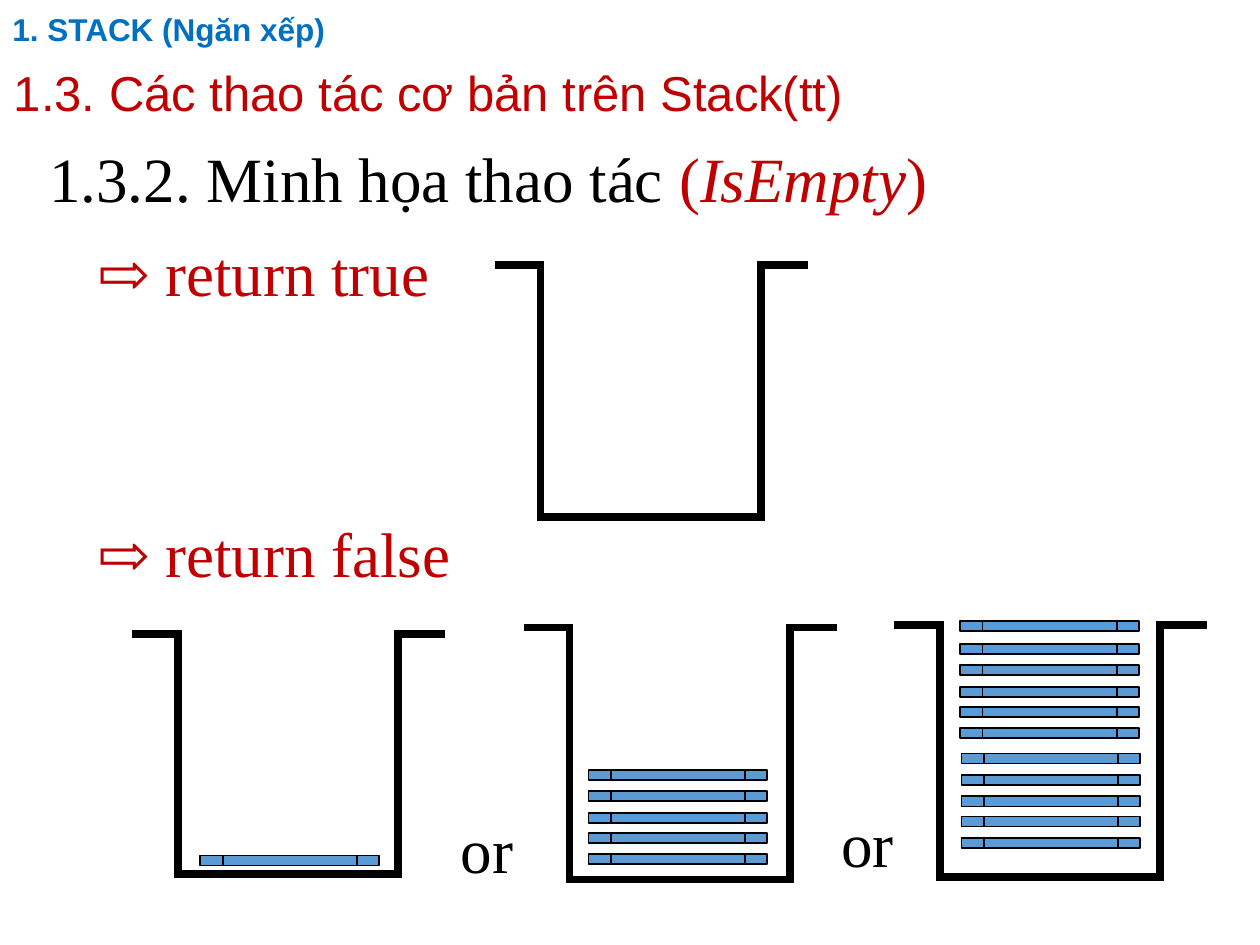
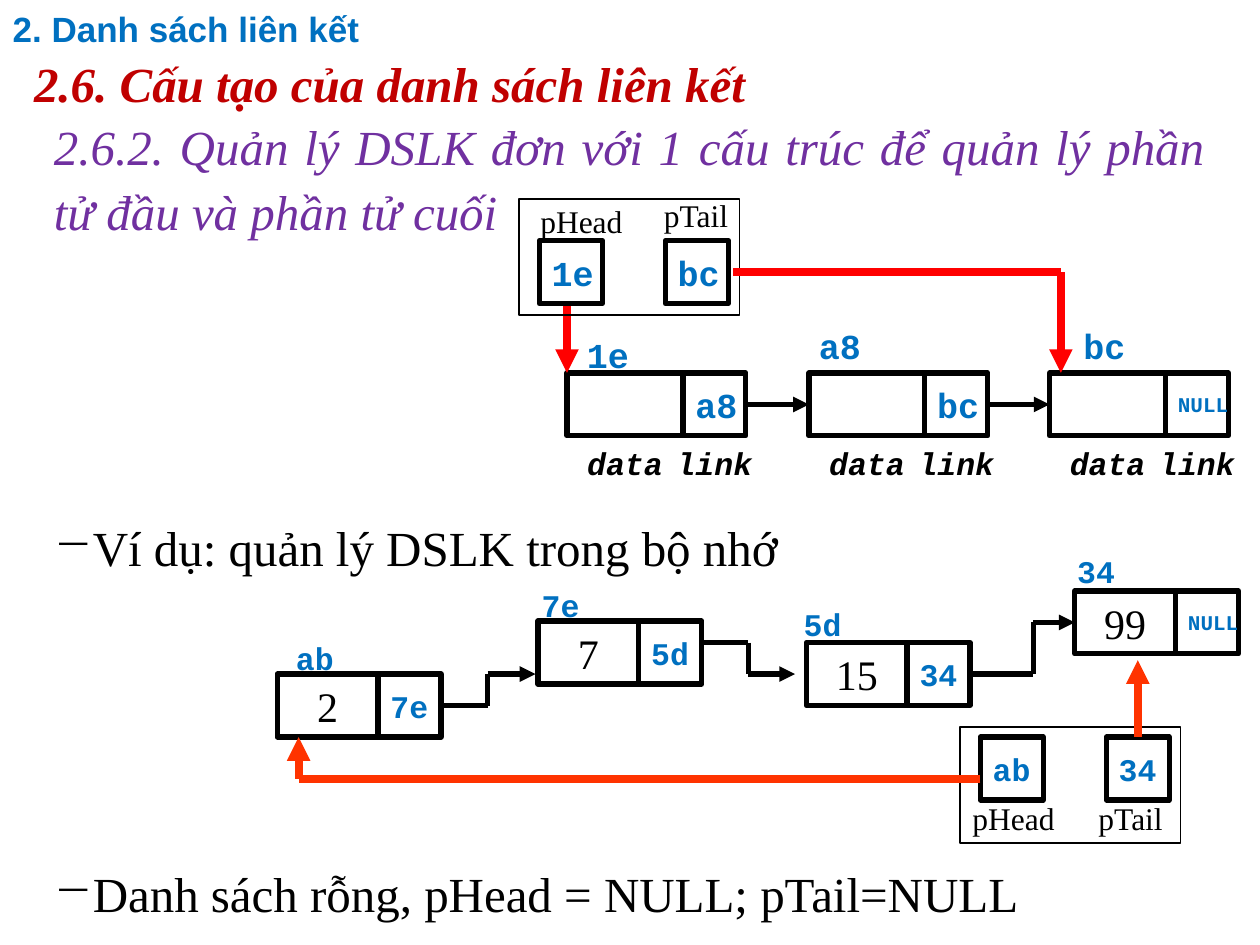
from itertools import pairwise

from pptx import Presentation
from pptx.dml.color import RGBColor
from pptx.enum.shapes import MSO_CONNECTOR, MSO_SHAPE
from pptx.enum.text import MSO_ANCHOR, MSO_AUTO_SIZE, PP_ALIGN
from pptx.oxml.ns import qn
from pptx.util import Emu, Pt
from lxml.etree import SubElement

EMU_PER_PX = 9144  # 100 px to the inch
BLACK, WHITE, BLUE, CRIMSON = "000000", "FFFFFF", "0070C0", "C00000"
PURPLE, RED, ORANGE, DISK_BLUE = "7030A0", "FF0000", "FF3300", "5B9BD5"
SANS, SERIF, MONO = "Arial", "Times New Roman", "Courier New"
HEADER_BOX = (0, 0, 862, 50)
CELL = 50  # height of every cell, width of a link cell
TOP, LEFT, RIGHT = 0, 1, 3  # connection sites of a rectangle


def px(value):
    return Emu(round(value * EMU_PER_PX))


def color(hex_string):
    return RGBColor.from_string(hex_string)


# ---- Text ----
def add_run(paragraph, text, font, size, ink=BLACK, bold=False, italic=False):
    run = paragraph.add_run()
    run.text = text
    run.font.name, run.font.size = font, Pt(size)
    run.font.bold, run.font.italic = bold, italic
    run.font.color.rgb = color(ink)


def format_paragraph(paragraph, align=PP_ALIGN.LEFT, spacing=1.0, before=0,
                     margin=0, indent=0, bullet=None):
    properties = paragraph._p.get_or_add_pPr()
    properties.set("marL", str(px(margin)))
    properties.set("indent", str(px(indent)))
    if bullet:
        SubElement(properties, qn("a:buChar")).set("char", bullet)
    else:
        SubElement(properties, qn("a:buNone"))
    paragraph.alignment = align
    paragraph.line_spacing = spacing
    paragraph.space_before = Pt(before)


def body_paragraph(paragraph, **layout):
    format_paragraph(paragraph, PP_ALIGN.JUSTIFY, 1.1, **layout)
    return paragraph


def set_frame(shape, anchor=MSO_ANCHOR.TOP, wrap=True):
    frame = shape.text_frame
    frame.word_wrap = wrap
    frame.auto_size = MSO_AUTO_SIZE.NONE
    frame.vertical_anchor = anchor
    return frame


def place(shape, box):
    shape.left, shape.top, shape.width, shape.height = map(px, box)
    return shape


def text_box(slide, box, anchor=MSO_ANCHOR.TOP, wrap=True):
    return set_frame(slide.shapes.add_textbox(*map(px, box)), anchor, wrap)


def label(slide, box, text, font, size, ink=BLACK, middle=False,
          align=PP_ALIGN.LEFT, spacing=1.0, **style):
    anchor = MSO_ANCHOR.MIDDLE if middle else MSO_ANCHOR.TOP
    paragraph = text_box(slide, box, anchor, not middle).paragraphs[0]
    format_paragraph(paragraph, align, spacing)
    add_run(paragraph, text, font, size, ink, **style)


def heading(shape, text, size, ink, bold):
    paragraph = set_frame(shape, MSO_ANCHOR.MIDDLE).paragraphs[0]
    format_paragraph(paragraph, spacing=0.9)
    add_run(paragraph, text, SANS, size, ink, bold)


# ---- Shapes and lines ----
def preset(slide, kind, box, fill=None, weight=3):
    shape = slide.shapes.add_shape(kind, *map(px, box))
    shape.shadow.inherit = False
    if fill:
        shape.fill.solid()
        shape.fill.fore_color.rgb = color(fill)
    else:
        shape.fill.background()
    shape.line.color.rgb = color(BLACK)
    shape.line.width = Pt(weight)
    return shape


def route(slide, points, ink=BLACK, weight=3, arrow=True, square=False,
          start=None, end=None):
    """Draw straight lines through points; start and end are (shape, site)."""
    lines = []
    for (x1, y1), (x2, y2) in pairwise(points):
        line = slide.shapes.add_connector(
            MSO_CONNECTOR.STRAIGHT, px(x1), px(y1), px(x2), px(y2))
        line.line.color.rgb = color(ink)
        line.line.width = Pt(weight)
        if square:
            line.line._get_or_add_ln().set("cap", "sq")
        SubElement(line._element.spPr, qn("a:effectLst"))
        lines.append(line)
    if arrow:
        SubElement(lines[-1].line._get_or_add_ln(), qn("a:tailEnd")).set(
            "type", "triangle")
    if start:
        lines[0].begin_connect(*start)
    if end:
        lines[-1].end_connect(*end)


def cell(slide, box, text="", font=MONO, size=18, ink=BLUE, bold=True,
         align=PP_ALIGN.LEFT, fill=None):
    shape = preset(slide, MSO_SHAPE.RECTANGLE, box, fill)
    if text:
        paragraph = set_frame(shape, MSO_ANCHOR.MIDDLE, False).paragraphs[0]
        format_paragraph(paragraph, align)
        add_run(paragraph, text, font, size, ink, bold)
    return shape


# ---- Slide 1: stacks ----
def stack_frame(slide, left, top, height=200):
    inner, outer, end = left + 33, left + 208, left + 242
    bottom = top + height
    route(slide, [(left, top), (inner, top), (inner, bottom), (outer, bottom),
                  (outer, top), (end, top)], weight=4.5, arrow=False, square=True)


def disks(slide, left, lowest, count):
    for index in range(count):
        box = (left, lowest - round(index * 50 / 3), 142, 8)
        preset(slide, MSO_SHAPE.FLOWCHART_PREDEFINED_PROCESS, box, DISK_BLUE, 1)


def stack_text(body):
    frame = set_frame(body)
    first = body_paragraph(frame.paragraphs[0])
    add_run(first, "1.3.2. Minh họa thao tác ", SERIF, 36)
    for text, italic in (("(", False), ("IsEmpty", True), (")", False)):
        add_run(first, text, SERIF, 36, CRIMSON, italic=italic)
    for text, before in (("⇨ return true", 6), ("⇨ return false", 113)):
        paragraph = frame.add_paragraph()
        paragraph.level = 1
        body_paragraph(paragraph, before=before, margin=38)
        add_run(paragraph, text, SERIF, 36, CRIMSON)


def stack_slide(presentation):
    slide = presentation.slides.add_slide(presentation.slide_layouts[1])
    title = place(slide.shapes.title, (1, 46, 862, 60))
    heading(title, "1.3. Các thao tác cơ bản trên Stack(tt)", 28, CRIMSON, False)
    stack_text(place(slide.placeholders[1], (29, 100, 862, 476)))
    chapter = slide.shapes.add_textbox(*map(px, HEADER_BOX))
    heading(chapter, "1. STACK (Ngăn xếp)", 18, BLUE, True)

    # Empty stack, then stacks with one, some and many disks
    stack_frame(slide, 396, 210)
    stack_frame(slide, 108, 503, 191)
    disks(slide, 159, 679, 1)
    stack_frame(slide, 419, 498)
    disks(slide, 467, 678, 5)
    stack_frame(slide, 713, 496)
    disks(slide, 763, 665, 5)
    disks(slide, 762, 578, 5)
    disks(slide, 762, 493, 1)
    for left, top in ((356, 645), (658, 640)):
        label(slide, (left, top, 69, 65), "or", SERIF, 36, spacing=0.9)


# ---- Slide 2: linked lists ----
def list_text(slide):
    frame = text_box(slide, (33, 83, 933, 551))
    add_run(body_paragraph(frame.paragraphs[0]),
            "2.6.2. Quản lý DSLK đơn với 1 cấu trúc để quản lý phần tử đầu "
            "và phần tử cuối", SERIF, 28, PURPLE, italic=True)
    for text, before in (("Ví dụ: quản lý DSLK trong bộ nhớ", 155),
                         ("Danh sách rỗng, pHead = NULL; pTail=NULL", 161)):
        paragraph = body_paragraph(frame.add_paragraph(), before=before,
                                   margin=19, indent=-30, bullet="−")
        add_run(paragraph, text, SERIF, 28)


def node(slide, left, top, width, link, value="", size=18):
    """Draw a data cell and its link cell, and return both."""
    data = cell(slide, (left, top, width, CELL), value, SERIF, 24, BLACK, False,
                PP_ALIGN.CENTER, WHITE)
    size = 12 if link == "NULL" else size
    return data, cell(slide, (left + width, top, CELL, CELL), link, size=size)


def pointer_box(slide, left, top, cell_top, head, tail, size):
    """Draw the frame holding pHead and pTail, and return the pTail cell."""
    preset(slide, MSO_SHAPE.RECTANGLE, (left, top, 175, 92), weight=0.75)
    cell(slide, (left + 16, top + cell_top, CELL, CELL), head, size=size)
    return cell(slide, (left + 116, top + cell_top, CELL, CELL), tail, size=size)


def pointer_name(slide, left, top, height, text):
    label(slide, (left, top, 83, height), text, SERIF, 18, middle=True)


def address(slide, left, top, text, size):
    label(slide, (left, top, 75, 40), text, MONO, size, BLUE, bold=True)


def list_structure(slide, left, top):
    width, pitch = 92, 191.5
    nodes = []
    for index, link in enumerate(("a8", "bc", "NULL")):
        x = round(left + index * pitch)
        nodes.append(node(slide, x, top, width, link, size=20))
        for offset, part_width, name in ((0, width, "data"), (width, CELL, "link")):
            label(slide, (x + offset, top + CELL, part_width, 42), name, MONO, 18,
                  middle=True, align=PP_ALIGN.CENTER, bold=True, italic=True)
    middle = top + CELL // 2
    for index, (source, target) in enumerate(pairwise(nodes)):
        x = round(left + width + CELL + index * pitch)
        route(slide, [(x, middle), (x + 50, middle)],
              start=(source[1], RIGHT), end=(target[0], LEFT))

    # pHead and pTail
    route(slide, [(left, top - 55), (left, top)], RED, 4.5)
    pointer_box(slide, left - 38, top - 138, 33, "1e", "bc", 20)
    pointer_name(slide, left - 31, top - 129, 17, "pHead")
    pointer_name(slide, left + 67, top - 138, 25, "pTail")
    route(slide, [(left + 132, top - 80), (left + 392, top - 80),
                  (left + 392, top)], RED, 4.5)
    for x, y, text in ((6, -36, "1e"), (190, -43, "a8"), (400, -43, "bc")):
        address(slide, left + x, top + y, text, 20)


def list_example(slide, left, top):
    """Place nodes around the first one, whose corner is (left, top)."""
    def points(*offsets):
        return [(left + x, top + y) for x, y in offsets]

    nodes = []
    for x, y, value, link in ((0, 0, "2", "7e"), (207, -42, "7", "5d"),
                              (420, -25, "15", "34"), (633, -66, "99", "NULL")):
        nodes.append(node(slide, left + x, top + y, 80, link, value))

    # Links between neighbours
    route(slide, points((130, 25), (167, 25), (167, 0), (205, 0)),
          start=(nodes[0][1], RIGHT))
    route(slide, points((336, -25), (374, -25), (374, 0), (411, 0)))
    route(slide, points((550, 0), (600, 0), (600, -41), (633, -41)),
          start=(nodes[2][1], RIGHT), end=(nodes[3][0], LEFT))

    # pHead and pTail
    tail = pointer_box(slide, left + 542, top + 42, 8, "ab", "34", 18)
    for x, text in ((542, "pHead"), (642, "pTail")):
        pointer_name(slide, left + x, top + 106, 17, text)
    route(slide, points((558, 83), (17, 83), (17, 50)), ORANGE, 4.5)
    route(slide, points((683, 50), (683, -11)), ORANGE, 4.5, start=(tail, TOP))
    for x, y, text in ((5, -33, "ab"), (200, -75, "7e"),
                       (408, -60, "5d"), (625, -102, "34")):
        address(slide, left + x, top + y, text, 18)


def list_slide(presentation):
    slide = presentation.slides.add_slide(presentation.slide_layouts[1])
    heading(place(slide.shapes.title, HEADER_BOX),
            "2. Danh sách liên kết", 20, BLUE, True)
    section = set_frame(place(slide.placeholders[1], (17, 33, 958, 66)))
    add_run(body_paragraph(section.paragraphs[0]),
            "2.6. Cấu tạo của danh sách liên kết", SERIF, 28, CRIMSON, True, True)
    list_text(slide)
    list_structure(slide, 450, 296)
    list_example(slide, 220, 535)


def main():
    presentation = Presentation()
    presentation.slide_width, presentation.slide_height = px(1000), px(750)
    stack_slide(presentation)
    list_slide(presentation)
    presentation.save("out.pptx")


if __name__ == "__main__":
    main()
